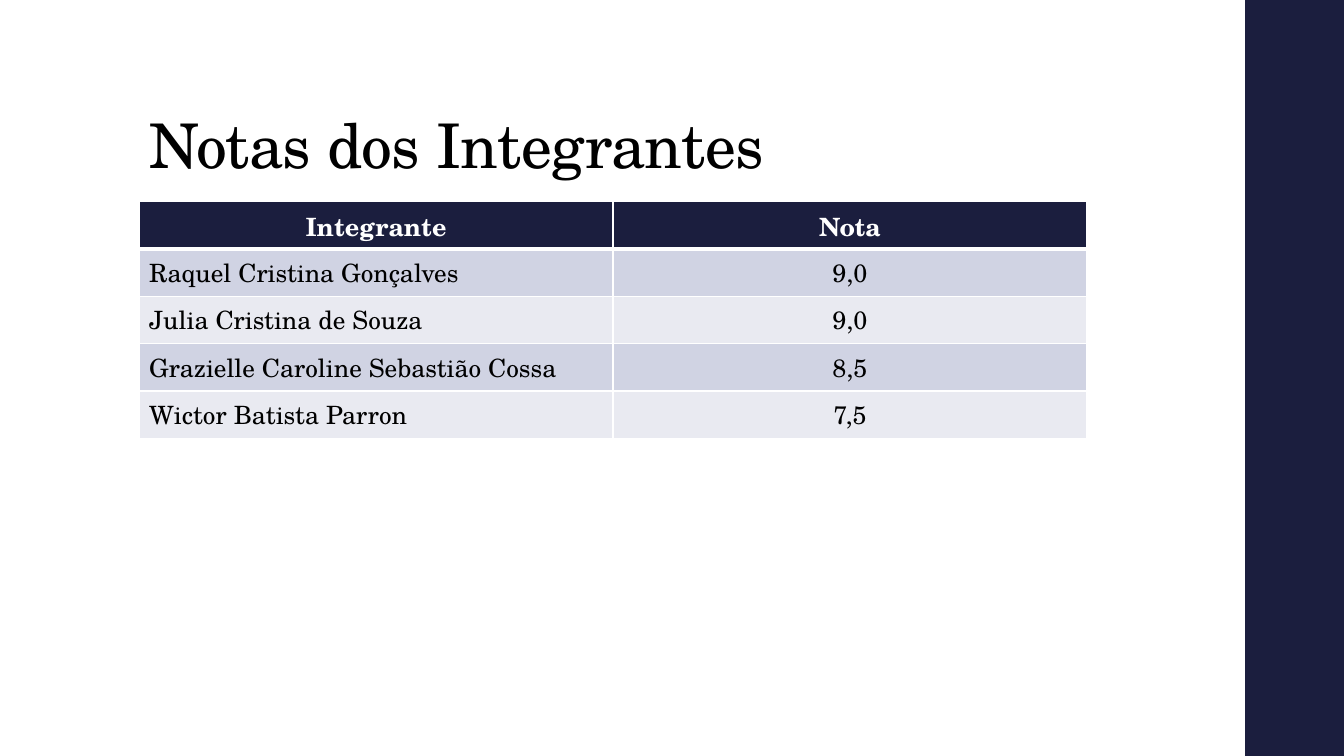
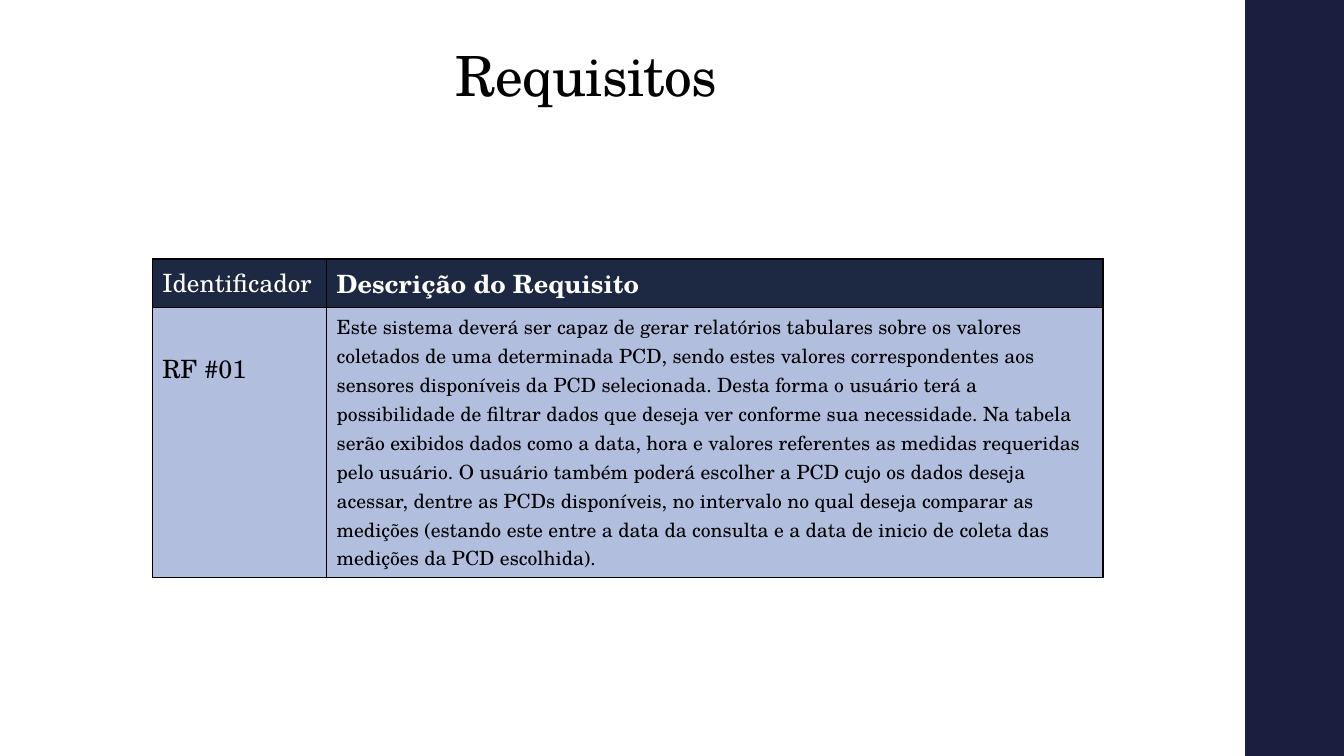
from dataclasses import dataclass

from lxml import etree
from pptx import Presentation
from pptx.dml.color import RGBColor
from pptx.enum.shapes import MSO_SHAPE
from pptx.enum.text import MSO_ANCHOR, PP_ALIGN
from pptx.oxml.ns import qn
from pptx.slide import Slide
from pptx.table import _Cell
from pptx.text.text import TextFrame
from pptx.util import Inches, Pt

RECT = MSO_SHAPE.RECTANGLE
BOTTOM = MSO_ANCHOR.BOTTOM
LEFT, CENTER = PP_ALIGN.LEFT, PP_ALIGN.CENTER

WHITE = RGBColor(0xFF, 0xFF, 0xFF)
BLACK = RGBColor(0, 0, 0)
NAVY = RGBColor(0x1B, 0x1E, 0x3E)
SLATE = RGBColor(0x1D, 0x28, 0x43)
LILAC = RGBColor(0xD0, 0xD3, 0xE3)
PALE = RGBColor(0xE9, 0xEA, 0xF1)
BLUE = RGBColor(0xB1, 0xBE, 0xDD)

FONT = "TeX Gyre Schola"
WIDE, HIGH = 13.33, 7.5


@dataclass
class Item:
    text: str
    size: float = 18
    bold: bool = False
    align: PP_ALIGN = LEFT
    top: float = 0.05


@dataclass
class Grid:
    left: float
    top: float
    cols: list[float]
    rows: list[float]
    items: list[list[Item]]
    head: RGBColor
    bands: list[RGBColor]
    line: RGBColor
    rule: float


def write(frame: TextFrame, text: str, *, size: float, color: RGBColor = BLACK,
          bold: bool = False, align: PP_ALIGN = LEFT, lead: float = 1.0,
          track: int = 0) -> None:
    para = frame.paragraphs[0]
    para.alignment = align
    para.line_spacing = lead
    run = para.add_run()
    run.text = text
    font = run.font
    font.name, font.size, font.bold = FONT, Pt(size), bold
    font.color.rgb = color
    if track:
        run._r.get_or_add_rPr().set("spc", str(track))


def frame_cell(cell: _Cell, color: RGBColor, above: float, below: float) -> None:
    props = cell._tc.get_or_add_tcPr()
    for side, width in (("L", 1), ("R", 1), ("T", above), ("B", below)):
        line = etree.SubElement(props, qn(f"a:ln{side}"), w=str(Pt(width)))
        fill = etree.SubElement(line, qn("a:solidFill"))
        etree.SubElement(fill, qn("a:srgbClr"), val=str(color))


def add_grid(slide: Slide, grid: Grid) -> None:
    table = slide.shapes.add_table(
        len(grid.rows), len(grid.cols), Inches(grid.left), Inches(grid.top),
        Inches(sum(grid.cols)), Inches(sum(grid.rows))).table
    table.first_row = table.horz_banding = False
    for col, width in zip(table.columns, grid.cols):
        col.width = Inches(width)
    for row, height in zip(table.rows, grid.rows):
        row.height = Inches(height)
    for r, items in enumerate(grid.items):
        shade = grid.bands[(r - 1) % len(grid.bands)] if r else grid.head
        above = grid.rule if r == 1 else 1
        below = grid.rule if r == 0 else 1
        for c, item in enumerate(items):
            cell = table.cell(r, c)
            frame_cell(cell, grid.line, above, below)
            cell.fill.solid()
            cell.fill.fore_color.rgb = shade
            cell.margin_top = Inches(item.top)
            write(cell.text_frame, item.text, size=item.size, bold=item.bold,
                  align=item.align, color=BLACK if r else WHITE)


def add_band(slide: Slide) -> None:
    band = slide.shapes.add_shape(
        RECT, Inches(12.35), 0, Inches(1), Inches(HIGH))
    band.width = Inches(WIDE) - band.left
    band.shadow.inherit = False
    band.fill.solid()
    band.fill.fore_color.rgb = NAVY
    band.line.fill.background()


def add_title(slide: Slide, text: str, left: float, top: float, width: float,
              height: float, size: float) -> None:
    box = slide.shapes.add_textbox(
        Inches(left), Inches(top), Inches(width), Inches(height))
    frame = box.text_frame
    frame.word_wrap = True
    frame.vertical_anchor = BOTTOM
    write(frame, text, size=size, lead=0.9, track=-50)


GRADES = [
    ("Raquel Cristina Gonçalves", "9,0"),
    ("Julia Cristina de Souza", "9,0"),
    ("Grazielle Caroline Sebastião Cossa", "8,5"),
    ("Wictor Batista Parron", "7,5"),
]

NEED = (
    "Este sistema deverá ser capaz de gerar relatórios tabulares sobre os "
    "valores coletados de uma determinada PCD, sendo estes valores "
    "correspondentes aos sensores disponíveis da PCD selecionada. Desta forma "
    "o usuário terá a possibilidade de filtrar dados que deseja ver conforme "
    "sua necessidade. Na tabela serão exibidos dados como a data, hora e "
    "valores referentes as medidas requeridas pelo usuário. O usuário também "
    "poderá escolher a PCD cujo os dados deseja acessar, dentre as PCDs "
    "disponíveis, no intervalo no qual deseja comparar as medições (estando "
    "este entre a data da consulta e a data de inicio de coleta das medições "
    "da PCD escolhida)."
)


def main() -> None:
    deck = Presentation()
    deck.slide_width, deck.slide_height = Inches(WIDE), Inches(HIGH)
    blank = deck.slide_layouts[6]

    marks = deck.slides.add_slide(blank)
    add_band(marks)
    add_title(marks, "Notas dos Integrantes", 1.38, 0.4, 10.6, 1.45, 44)
    heads = [Item(text, bold=True, align=CENTER)
             for text in ("Integrante", "Nota")]
    body = [[Item(name), Item(grade, align=CENTER)] for name, grade in GRADES]
    add_grid(marks, Grid(
        1.38, 2, [4.7, 4.7], [0.47] * 5, [heads, *body],
        NAVY, [LILAC, PALE], WHITE, 3))

    needs = deck.slides.add_slide(blank)
    add_band(needs)
    add_title(needs, "Requisitos", 4.42, 0.26, 2.92, 0.87, 39.6)
    add_grid(needs, Grid(
        1.51, 2.57, [1.73, 7.7], [0.48, 2.68],
        [[Item("Identificador"), Item("Descrição do Requisito", bold=True)],
         [Item("RF #01", top=0.42), Item(NEED, size=14)]],
        SLATE, [BLUE], BLACK, 1))

    deck.save("out.pptx")


if __name__ == "__main__":
    main()
